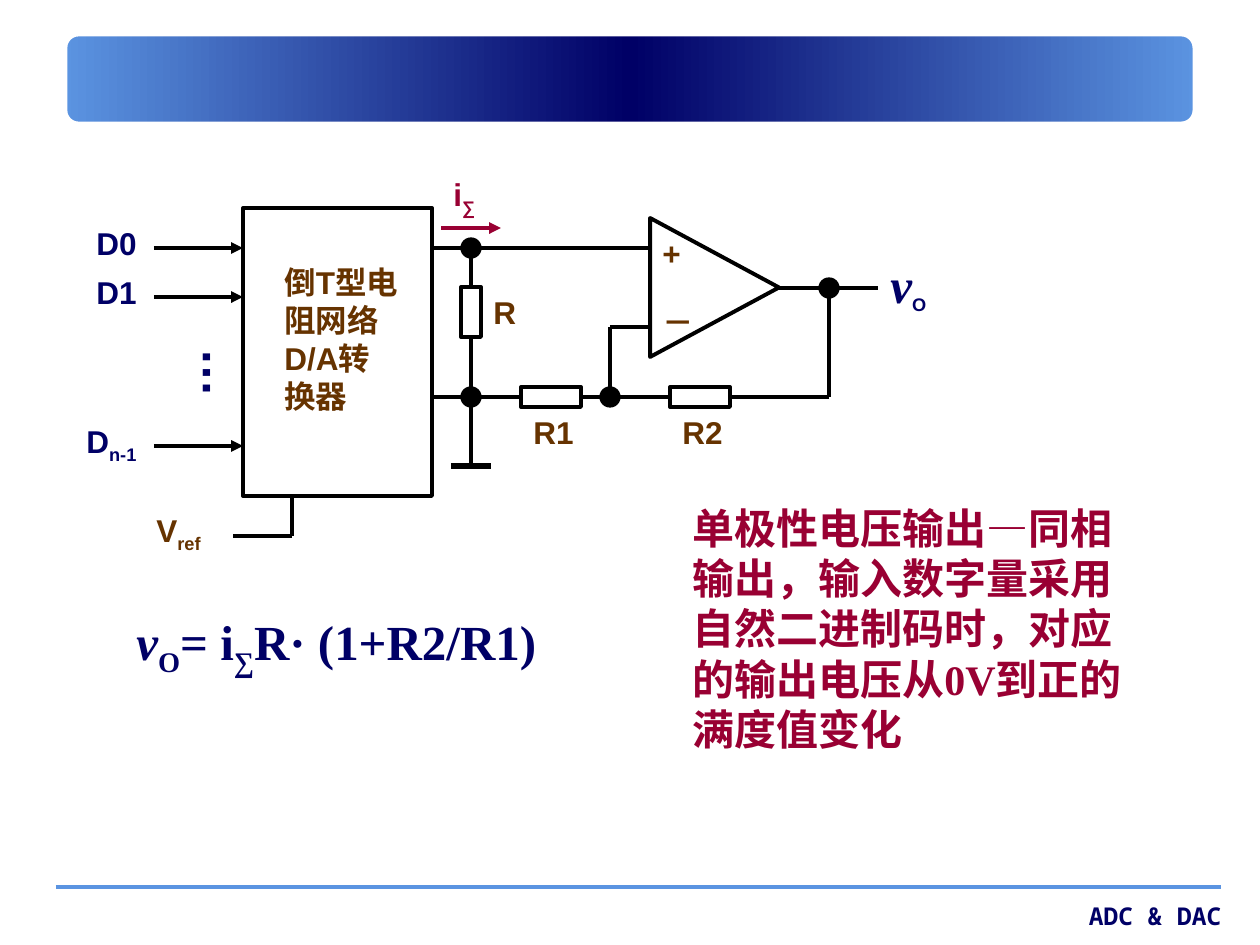
from copy import deepcopy

from lxml import etree
from pptx import Presentation
from pptx import util as u
from pptx.dml.color import RGBColor
from pptx.enum import shapes, text
from pptx.oxml.ns import qn

PX = u.Inches(1) / 126
COLORS = {
    "black": "000000",
    "white": "FFFFFF",
    "navy": "000066",
    "sky": "5B94E1",
    "brown": "663300",
    "crimson": "990033",
}
SERIF = "Times New Roman"
SUB = {"baseline": -25000}
TOP_WIRE, OUTPUT_WIRE, BOTTOM_WIRE = 248, 288, 397
LOAD_X, FEEDBACK_X, OUTPUT_X = 471, 610, 829


def px(*lengths):
    return [round(length * PX) for length in lengths]


def rgb(name):
    return RGBColor.from_string(COLORS[name])


def add_line(parent, x1, y1, x2, y2, color="black", width=2.25, arrow=False):
    line = parent.add_connector(shapes.MSO_CONNECTOR.STRAIGHT, *px(x1, y1, x2, y2))
    line.line.color.rgb = rgb(color)
    line.line.width = u.Pt(width)
    if arrow:
        outline = line.line._get_or_add_ln()
        etree.SubElement(outline, qn("a:tailEnd"), type="triangle")
    etree.SubElement(line._element.spPr, qn("a:effectLst"))


def add_outline(parent, kind, x, y, w, h, fill=None, line="black", width=2.25):
    shape = parent.add_shape(kind, *px(x, y, w, h))
    shape.shadow.inherit = False
    if fill:
        shape.fill.solid()
        shape.fill.fore_color.rgb = rgb(fill)
    else:
        shape.fill.background()
    shape.line.color.rgb = rgb(line)
    shape.line.width = u.Pt(width)
    return shape


def add_box(parent, x, y, w, h):
    return add_outline(parent, shapes.MSO_SHAPE.RECTANGLE, x, y, w, h)


def add_node(parent, x, y):
    """Draw a junction dot centred on a wire crossing."""
    add_outline(parent, shapes.MSO_SHAPE.OVAL, x - 10, y - 10, 20, 20, fill="black", width=0.75)


def add_text(parent, x, y, w, h, *parts, size=18, font="Arial", color="brown",
             align=text.PP_ALIGN.LEFT, vertical=None):
    """Each part is a string, or a (string, overrides) pair for one run."""
    box = parent.add_textbox(*px(x, y, w, h))
    frame = box.text_frame
    frame.word_wrap = True
    frame.auto_size = text.MSO_AUTO_SIZE.SHAPE_TO_FIT_TEXT
    if vertical:
        frame._txBody.bodyPr.set("vert", vertical)
    paragraph = frame.paragraphs[0]
    paragraph.alignment = align
    for part in parts:
        words, style = (part, {}) if isinstance(part, str) else part
        run = paragraph.add_run()
        run.text = words
        run.font.name = style.get("font", font)
        run.font.size = u.Pt(style.get("size", size))
        run.font.bold = True
        run.font.italic = style.get("italic", False)
        run.font.color.rgb = rgb(color)
        if "baseline" in style:
            run.font._element.set("baseline", str(style["baseline"]))


def add_banner(parent):
    banner = add_outline(parent, shapes.MSO_SHAPE.ROUNDED_RECTANGLE, 63, 32, 1134, 94,
                         line="white", width=5)
    banner.adjustments[0] = 0.167
    banner.fill.gradient()
    banner.fill.gradient_angle = 0
    stops = banner.fill.gradient_stops
    for stop, position, color in zip(stops, (0, 0.5), ("sky", "navy")):
        stop.color.rgb = rgb(color)
        stop.position = position
    first, middle = banner._element.spPr.iter(qn("a:gs"))
    last = deepcopy(first)
    last.set("pos", "100000")
    middle.addnext(last)


def add_frame(parent):
    add_banner(parent)
    add_line(parent, 56, 887, 1221, 887, color="sky", width=2)
    add_text(parent, 935, 895, 299, 42, "ADC & DAC", size=14, font="Noto Sans Mono",
             color="navy", align=text.PP_ALIGN.RIGHT)


def add_converter(circuit):
    add_box(circuit, 243, 208, 189, 288)
    add_text(circuit, 272, 257, 139, 164, "倒T型电阻网络D/A转换器")
    for y in (TOP_WIRE, 297, 446):
        add_line(circuit, 154, y, 243, y, arrow=True)
    for y, name in ((218, "D0"), (267, "D1")):
        add_text(circuit, 84, y, 79, 50, name, color="navy")
    add_text(circuit, 74, 416, 100, 50, "D", ("n-1", SUB), color="navy")
    add_text(circuit, 174, 336, 84, 69, "…", size=28, color="navy", vertical="eaVert")
    add_line(circuit, 292, 496, 292, 536)
    add_line(circuit, 292, 536, 233, 536)
    add_text(circuit, 144, 505, 100, 50, "V", ("ref", SUB))


def add_amplifier(circuit):
    triangle = add_outline(circuit, shapes.MSO_SHAPE.ISOSCELES_TRIANGLE, 645, 223, 139, 129)
    triangle.rotation = 90
    add_text(circuit, 650, 297, 49, 50, "－", font=SERIF)
    add_text(circuit, 650, 228, 49, 50, "+")
    add_text(circuit, 878, 248, 69, 72, ("v", {"font": SERIF, "size": 28, "italic": True}),
             ("O", SUB), color="navy")


def add_wiring(circuit):
    wires = [
        (432, TOP_WIRE, 650, TOP_WIRE),
        (LOAD_X, TOP_WIRE, LOAD_X, 287),
        (LOAD_X, 337, LOAD_X, BOTTOM_WIRE),
        (LOAD_X, BOTTOM_WIRE, LOAD_X, 466),
        (432, BOTTOM_WIRE, 521, BOTTOM_WIRE),
        (581, BOTTOM_WIRE, 670, BOTTOM_WIRE),
        (730, BOTTOM_WIRE, OUTPUT_X, BOTTOM_WIRE),
        (FEEDBACK_X, 327, 650, 327),
        (FEEDBACK_X, 327, FEEDBACK_X, BOTTOM_WIRE),
        (779, OUTPUT_WIRE, 878, OUTPUT_WIRE),
        (OUTPUT_X, OUTPUT_WIRE, OUTPUT_X, BOTTOM_WIRE),
    ]
    for wire in wires:
        add_line(circuit, *wire)
    add_line(circuit, LOAD_X - 20, 466, LOAD_X + 20, 466, width=3)
    add_line(circuit, 441, 228, 501, 228, color="crimson", arrow=True)
    add_text(circuit, 441, 169, 69, 50, "i", ("∑", SUB), color="crimson")

    add_box(circuit, LOAD_X - 10, 287, 20, 50)
    add_text(circuit, 481, 287, 59, 50, "R")
    for x, name in ((521, "R1"), (670, "R2")):
        add_box(circuit, x, BOTTOM_WIRE - 10, 60, 20)
        add_text(circuit, x, 407, 69, 50, name)
    for node in ((LOAD_X, TOP_WIRE), (LOAD_X, BOTTOM_WIRE),
                 (FEEDBACK_X, BOTTOM_WIRE), (OUTPUT_X, OUTPUT_WIRE)):
        add_node(circuit, *node)


def add_explanation(parent):
    add_text(parent, 124, 605, 556, 72, ("v", {"italic": True}), ("O", SUB), "= i",
             ("∑", SUB), "R· (1+R2/R1)", size=28, font=SERIF, color="navy")
    add_text(parent, 680, 496, 486, 265, "单极性电压输出", ("—", {"font": "Arial"}),
             "同相输出，输入数字量采用自然二进制码时，对应的输出电压从0V到正的满度值变化",
             size=24, font=SERIF, color="crimson")


def main():
    deck = Presentation()
    deck.slide_width, deck.slide_height = px(1260, 945)
    slide = deck.slides.add_slide(deck.slide_layouts[6])
    add_frame(slide.shapes)
    circuit = slide.shapes.add_group_shape().shapes
    add_converter(circuit)
    add_amplifier(circuit)
    add_wiring(circuit)
    add_explanation(slide.shapes)
    deck.save("out.pptx")


if __name__ == "__main__":
    main()
